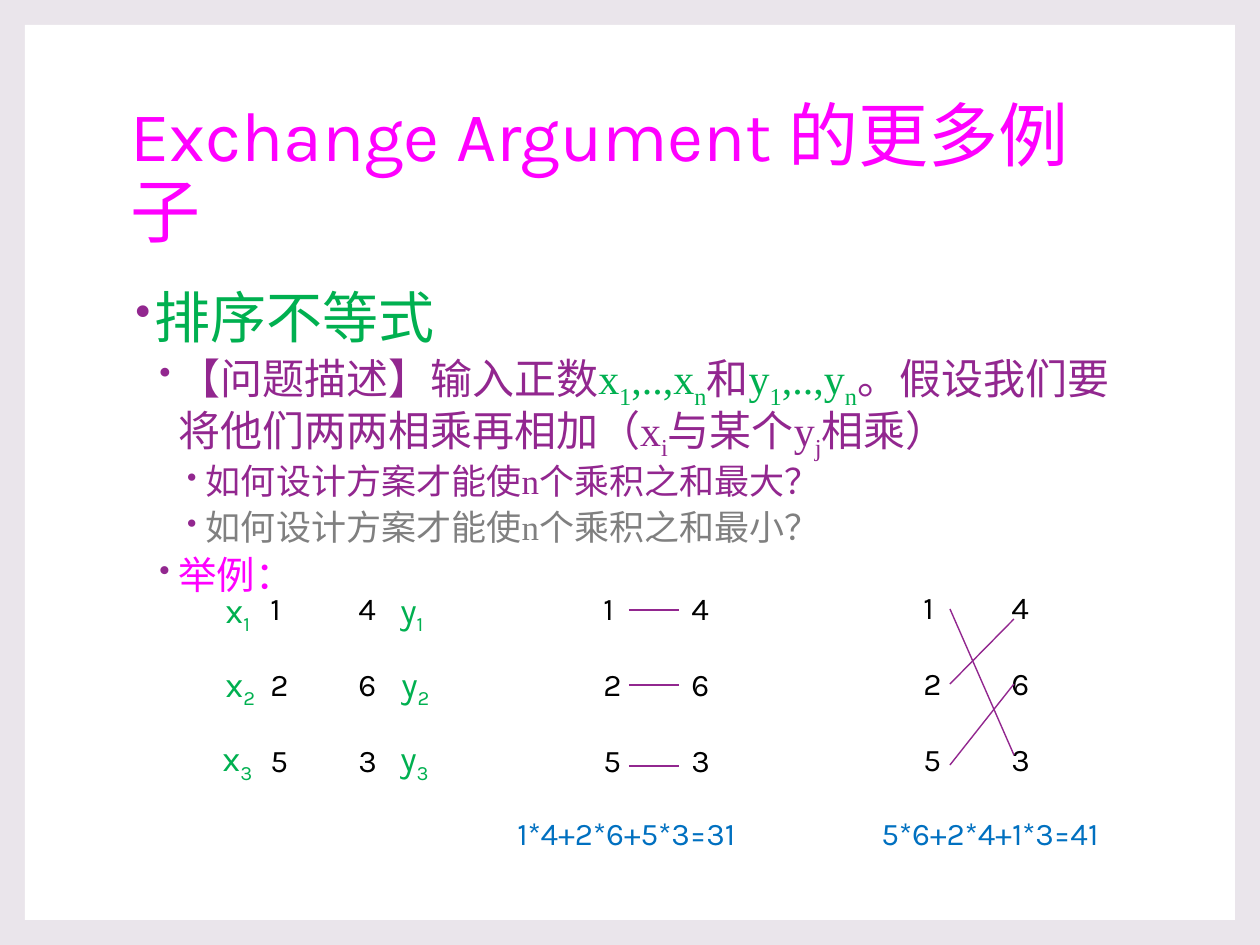
from lxml.etree import SubElement
from pptx import Presentation
from pptx.dml.color import RGBColor
from pptx.enum.shapes import MSO_CONNECTOR, MSO_SHAPE
from pptx.enum.text import MSO_ANCHOR
from pptx.oxml.ns import qn
from pptx.util import Pt

SCALE = 914400 / 126
LATIN = "Karla"
SERIF = "Times New Roman"
MIST = RGBColor(0xEA, 0xE5, 0xEB)
WHITE = RGBColor(0xFF, 0xFF, 0xFF)
BLACK = RGBColor(0, 0, 0)
PINK = RGBColor(0xFF, 0, 0xFF)
GREEN = RGBColor(0, 0xB0, 0x50)
PURPLE = RGBColor(0x92, 0x27, 0x8F)
GRAY = RGBColor(0x80, 0x80, 0x80)
BLUE = RGBColor(0, 0x70, 0xC0)

LEFT = "125"
RIGHT = "463"
PITCH = 76
GAP = 88
STARTS = (27, 102, 183)

ITEMS = [
    (0, 32, [("排序不等式", GREEN, False)]),
    (1, 24, [
        ("【问题描述】输入正数", PURPLE, False),
        ("x", GREEN, False), ("1", GREEN, True),
        (",..,x", GREEN, False), ("n", GREEN, True),
        ("和", PURPLE, False),
        ("y", GREEN, False), ("1", GREEN, True),
        (",..,y", GREEN, False), ("n", GREEN, True),
        ("。假设我们要将他们两两相乘再相加（x", PURPLE, False),
        ("i", PURPLE, True),
        ("与某个y", PURPLE, False), ("j", PURPLE, True),
        ("相乘）", PURPLE, False),
    ]),
    (2, 20, [("如何设计方案才能使n个乘积之和最大？", PURPLE, False)]),
    (2, 20, [("如何设计方案才能使n个乘积之和最小？", GRAY, False)]),
    (1, 22, [("举例：", PINK, False)]),
]
INDENTS = (0.19, 0.38, 0.6)


def px(n):
    return round(n * SCALE)


def add_box(shapes, box):
    frame = shapes.add_textbox(*map(px, box)).text_frame
    frame.word_wrap = True
    return frame


def add_runs(para, runs, size, face):
    for text, color, sub in runs:
        run = para.add_run()
        run.text = text
        font = run.font
        font.size, font.name = Pt(size), face
        font.color.rgb = color
        if sub:
            run._r.get_or_add_rPr().set("baseline", "-25000")


def add_label(shapes, box, runs, size):
    frame = add_box(shapes, box)
    add_runs(frame.paragraphs[0], runs, size, LATIN)
    return frame


def add_bullet(para, level):
    props = para._p.get_or_add_pPr()
    props.set("marL", str(round(INDENTS[level] * 914400)))
    props.set("indent", str(round(-0.15 * 914400)))
    tint = SubElement(props, qn("a:buClr"))
    SubElement(tint, qn("a:srgbClr")).set("val", str(PURPLE))
    SubElement(props, qn("a:buSzPct")).set("val", "80000")
    SubElement(props, qn("a:buChar")).set("char", "•")


def add_panel(slide, box):
    back = slide.background.fill
    back.solid()
    back.fore_color.rgb = MIST
    panel = slide.shapes.add_shape(MSO_SHAPE.RECTANGLE, *map(px, box))
    panel.shadow.inherit = False
    panel.fill.solid()
    panel.fill.fore_color.rgb = WHITE
    panel.line.fill.background()


def add_title(slide, box):
    runs = [("Exchange Argument 的更多例子", PINK, False)]
    frame = add_label(slide.shapes, box, runs, 40)
    frame.vertical_anchor = MSO_ANCHOR.MIDDLE
    frame.paragraphs[0].line_spacing = 0.9


def add_body(slide, box):
    frame = add_box(slide.shapes, box)
    for i, (level, size, runs) in enumerate(ITEMS):
        para = frame.add_paragraph() if i else frame.paragraphs[0]
        para.level = level
        add_bullet(para, level)
        para.line_spacing = 0.9
        if i:
            para.space_before, para.space_after = Pt(1.5), Pt(3)
        add_runs(para, runs, size, SERIF)


def add_pairs(slide, x, y):
    shapes = slide.shapes.add_group_shape().shapes
    for col, digits in enumerate((LEFT, RIGHT)):
        for row, digit in enumerate(digits):
            box = (x + col * GAP, y + row * PITCH, 58, 53)
            add_label(shapes, box, [(digit, BLACK, False)], 18)
    return shapes


def add_names(shapes, x, y):
    for letter, shifts in (("x", (0, 0, -3)), ("y", (175, 176, 175))):
        for row, shift in enumerate(shifts):
            runs = [(letter, GREEN, False), (str(row + 1), GREEN, True)]
            add_label(shapes, (x + shift, y + row * 74, 58, 55), runs, 20)


def add_links(shapes, x, y, start, end, stops):
    for top, stop in zip(STARTS, stops):
        ends = (x + start, y + top, x + end, y + stop)
        link = shapes.add_connector(MSO_CONNECTOR.STRAIGHT, *map(px, ends))
        link.line.color.rgb = PURPLE
        link.line.width = Pt(0.79)
        SubElement(link._element.spPr, qn("a:effectLst"))


def add_sum(slide, x, y, text):
    add_label(slide.shapes, (x, y, 319, 50), [(text, BLUE, False)], 18)


def main():
    deck = Presentation()
    deck.slide_width, deck.slide_height = px(1260), px(945)
    slide = deck.slides.add_slide(deck.slide_layouts[6])
    add_panel(slide, (25, 25, 1210, 895))
    add_title(slide, (118, 84, 1021, 186))
    add_body(slide, (118, 284, 1021, 319))
    given = add_pairs(slide, 258, 583)
    add_names(given, 213, 582)
    straight = add_pairs(slide, 591, 583)
    add_links(straight, 591, 583, 38, 88, STARTS)
    crossed = add_pairs(slide, 911, 582)
    add_links(crossed, 911, 582, 39, 103, (173, 37, 102))
    add_sum(slide, 505, 808, "1*4+2*6+5*3=31")
    add_sum(slide, 869, 808, "5*6+2*4+1*3=41")
    deck.save("out.pptx")


if __name__ == "__main__":
    main()
